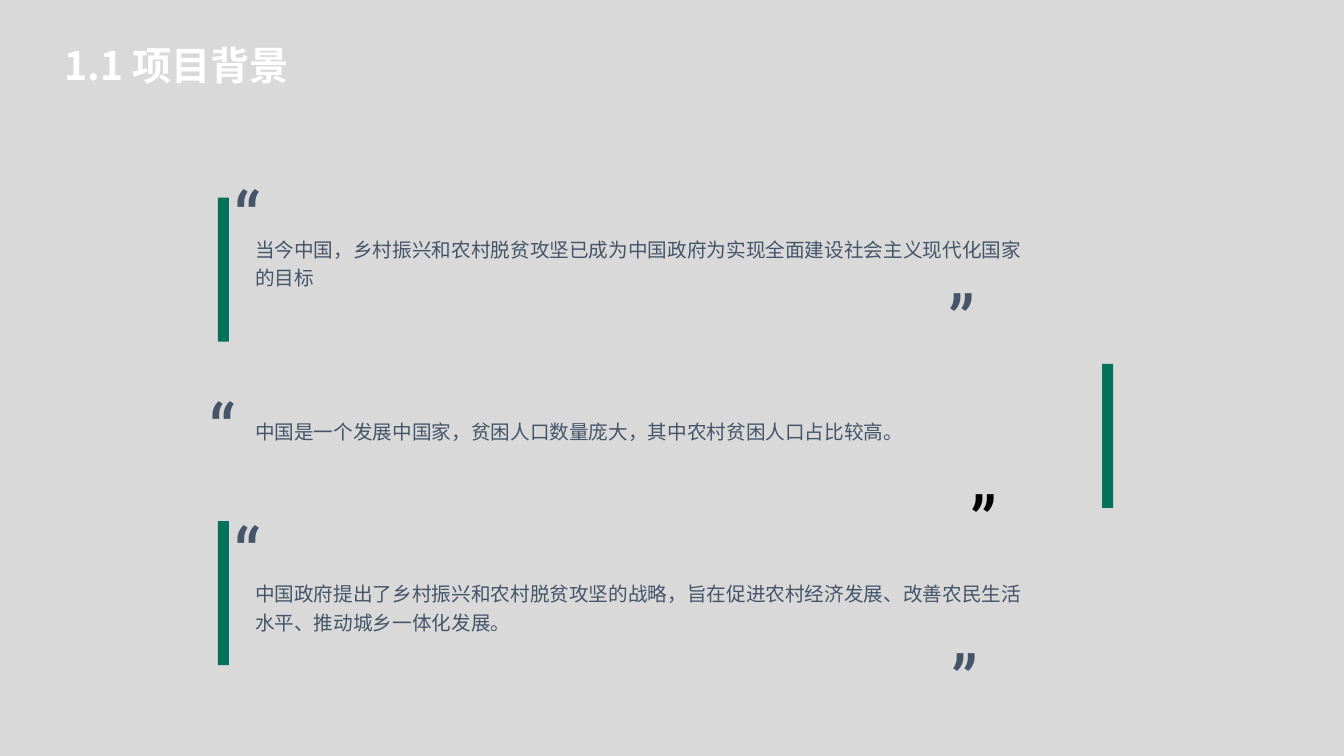
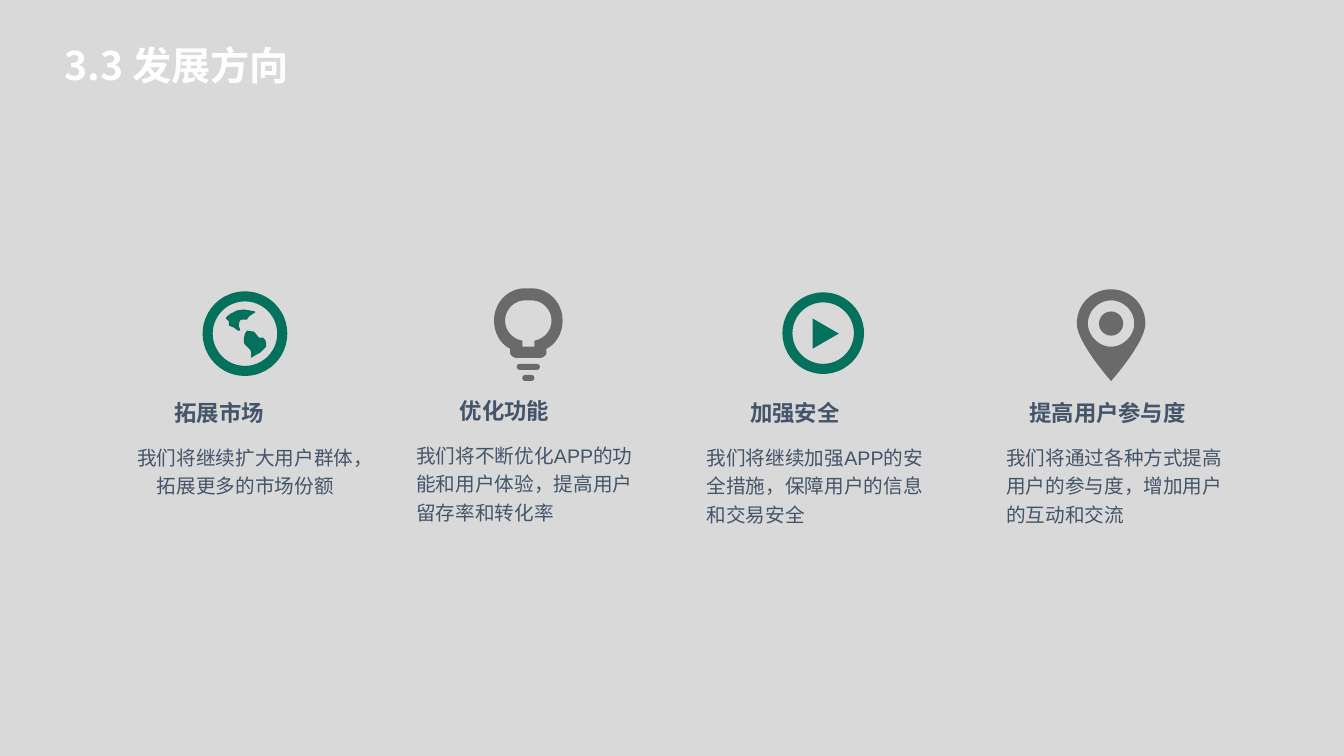
from lxml import etree
from pptx import Presentation
from pptx.dml.color import RGBColor
from pptx.enum.shapes import MSO_SHAPE
from pptx.enum.text import MSO_AUTO_SIZE, PP_ALIGN
from pptx.oxml.ns import qn
from pptx.util import Inches, Pt

RECT, DONUT, OVAL = MSO_SHAPE.RECTANGLE, MSO_SHAPE.DONUT, MSO_SHAPE.OVAL
ROUNDED = MSO_SHAPE.ROUNDED_RECTANGLE
GROW = MSO_AUTO_SIZE.SHAPE_TO_FIT_TEXT
LEFT, CENTER = PP_ALIGN.LEFT, PP_ALIGN.CENTER

PAPER, WHITE, BLACK = "D9D9D9", "FFFFFF", "000000"
GREEN, GREY, SLATE = "03715B", "6A6A6A", "445469"
CJK, LATIN, QUOTE_FONT = "Noto Sans CJK SC", "Arial", "Roboto"

# Content: text, text top, bar position, opening mark, closing mark, closing colour
QUOTES = [
    ("当今中国，乡村振兴和农村脱贫攻坚已成为中国政府为实现全面建设社会主义现代化国家的目标",
     2.31, (2.16, 1.96), (2.21, 1.29), (9.31, 2.68), SLATE),
    ("中国是一个发展中国家，贫困人口数量庞大，其中农村贫困人口占比较高。",
     4.12, (10.93, 3.61), (1.96, 3.39), (9.53, 4.67), BLACK),
    ("中国政府提出了乡村振兴和农村脱贫攻坚的战略，旨在促进农村经济发展、改善农民生活水平、推动城乡一体化发展。",
     5.73, (2.16, 5.17), (2.21, 4.62), (9.34, 6.25), SLATE),
]
# Content: heading, text, left, top of heading, heading width, alignment
DIRECTIONS = [
    ("拓展市场", "我们将继续扩大用户群体，拓展更多的市场份额", 1.3, 3.96, 1.42, CENTER),
    ("优化功能", "我们将不断优化APP的功能和用户体验，提高用户留存率和转化率", 4.13, 3.94, 1.42, LEFT),
    ("加强安全", "我们将继续加强APP的安全措施，保障用户的信息和交易安全", 7.01, 3.96, 1.42, LEFT),
    ("提高用户参与度", "我们将通过各种方式提高用户的参与度，增加用户的互动和交流", 9.98, 3.96, 1.63, LEFT),
]
CARD_WIDTH = 2.27

# Icon outlines
CONTINENTS = [
    [(2.58, 3.5), (2.54, 3.52), (2.49, 3.55), (2.49, 3.49), (2.48, 3.47), (2.45, 3.44),
     (2.43, 3.42), (2.42, 3.4), (2.42, 3.35), (2.43, 3.31), (2.45, 3.28), (2.52, 3.29),
     (2.57, 3.35), (2.61, 3.35), (2.63, 3.37), (2.64, 3.4), (2.64, 3.44)],
    [(2.5, 3.12), (2.47, 3.14), (2.45, 3.17), (2.4, 3.17), (2.38, 3.18), (2.37, 3.21),
     (2.37, 3.24), (2.38, 3.26), (2.38, 3.28), (2.36, 3.28), (2.32, 3.25), (2.27, 3.23),
     (2.27, 3.19), (2.24, 3.16), (2.25, 3.14), (2.29, 3.11), (2.35, 3.08), (2.42, 3.07),
     (2.48, 3.08), (2.53, 3.09), (2.53, 3.1)],
]
PLAY = [[(8.06, 3.16), (8.32, 3.31), (8.06, 3.46)]]
# Left halves, x from the icon's axis: a pair is a line, six numbers are a curve
BULB_AXIS, PIN_AXIS = 5.24, 11.02
BULB = [
    [(-0.03, 2.86), (-0.2, 2.86, -0.34, 3, -0.34, 3.18), (-0.34, 3.3, -0.28, 3.41, -0.18, 3.46),
     (-0.18, 3.5), (-0.18, 3.52, -0.15, 3.55, -0.12, 3.55)],
    [(-0.03, 2.98), (-0.14, 2.98, -0.23, 3.07, -0.23, 3.18),
     (-0.23, 3.28, -0.16, 3.36, -0.06, 3.38), (-0.06, 3.44)],
]
PIN = [
    [(0, 2.87), (-0.19, 2.87, -0.34, 3.02, -0.34, 3.21), (-0.34, 3.4, 0, 3.78, 0, 3.78)],
    [(0, 2.98), (-0.12, 2.98, -0.23, 3.08, -0.23, 3.21), (-0.23, 3.33, -0.12, 3.44, 0, 3.44)],
]
CURVE_STEPS = 16


def rgb(value):
    return RGBColor.from_string(value)


def paint(shape, color):
    shape.shadow.inherit = False
    shape.fill.solid()
    shape.fill.fore_color.rgb = rgb(color)
    shape.line.fill.background()
    return shape


def add_preset(page, kind, left, top, width, height, color):
    return paint(page.shapes.add_shape(
        kind, Inches(left), Inches(top), Inches(width), Inches(height)), color)


def add_text(page, text, left, top, width, height, size, color, font, east_asian=CJK,
             bold=False, align=LEFT, spacing=None, inset=None, wrap=True):
    box = page.shapes.add_textbox(Inches(left), Inches(top), Inches(width), Inches(height))
    frame = box.text_frame
    frame.word_wrap = wrap
    frame.auto_size = GROW
    if inset is not None:
        frame.margin_left = frame.margin_right = Inches(inset)
        frame.margin_top = frame.margin_bottom = Inches(inset)
    para = frame.paragraphs[0]
    para.alignment = align
    if spacing:
        para.line_spacing = spacing
    span = para.add_run()
    span.text = text
    span.font.size = Pt(size)
    span.font.bold = bold
    span.font.name = font
    span.font.color.rgb = rgb(color)
    etree.SubElement(span.font._element, qn("a:ea")).set("typeface", east_asian)
    return box


def add_body(page, text, left, top, width, height, font, align=LEFT):
    add_text(page, text, left, top, width, height, 14, SLATE, font,
             align=align, spacing=1.2, inset=0)


def add_mark(page, place, color=SLATE, rotation=0):
    mark = add_text(page, "”", *place, 0.48, 1, 53.2, color, QUOTE_FONT, QUOTE_FONT, wrap=False)
    mark.rotation = rotation


def add_page(deck, title):
    page = deck.slides.add_slide(deck.slide_layouts[6])
    add_text(page, title, 0.54, 0.36, 4.74, 0.57, 28, WHITE, CJK, bold=True)
    return page


def add_outline(page, contours, color):
    builder = None
    for contour in contours:
        start, *others = [(Inches(x), Inches(y)) for x, y in contour]
        if builder is None:
            builder = page.shapes.build_freeform(*start, scale=1.0)
        else:
            builder.move_to(*start)
        builder.add_line_segments(others, close=True)
    paint(builder.convert_to_shape(), color)


def mirrored(half, axis):
    """Flatten the curves of a left half and join it to its mirror image."""
    points = [half[0]]
    for segment in half[1:]:
        if len(segment) == 2:
            points.append(segment)
            continue
        x0, y0 = points[-1]
        x1, y1, x2, y2, x3, y3 = segment
        for step in range(1, CURVE_STEPS + 1):
            t = step / CURVE_STEPS
            a, b, c, d = (1 - t) ** 3, 3 * t * (1 - t) ** 2, 3 * t * t * (1 - t), t ** 3
            points.append((a * x0 + b * x1 + c * x2 + d * x3,
                           a * y0 + b * y1 + c * y2 + d * y3))
    return ([(axis + x, y) for x, y in points]
            + [(axis - x, y) for x, y in reversed(points)])


def add_ring(page, left, top, size):
    ring = add_preset(page, DONUT, left, top, size, size, GREEN)
    ring.adjustments[0] = 0.1 / size


def build_background(deck):
    page = add_page(deck, "1.1 项目背景")
    for text, top, bar, opening, closing, closing_color in QUOTES:
        add_preset(page, RECT, *bar, 0.11, 1.43, GREEN)
        add_mark(page, opening, rotation=180)
        add_mark(page, closing, closing_color)
        add_body(page, text, 2.53, top, 7.74, 0.54, CJK)


def build_directions(deck):
    page = add_page(deck, "3.3 发展方向")
    # Globe
    add_ring(page, 2.01, 2.89, 0.84)
    add_outline(page, CONTINENTS, GREEN)
    # Light bulb
    add_outline(page, [mirrored(half, BULB_AXIS) for half in BULB], GREY)
    for top, width in ((3.61, 0.23), (3.72, 0.12)):
        base = add_preset(page, ROUNDED, BULB_AXIS - width / 2, top, width, 0.06, GREY)
        base.adjustments[0] = 0.5
    # Play button
    add_ring(page, 7.76, 2.9, 0.81)
    add_outline(page, PLAY, GREEN)
    # Map pin
    add_outline(page, [mirrored(half, PIN_AXIS) for half in PIN], GREY)
    add_preset(page, OVAL, PIN_AXIS - 0.12, 3.09, 0.24, 0.24, GREY)
    # Headings and texts
    for heading, text, left, top, width, align in DIRECTIONS:
        indent = 0.43 if width < 1.5 else 0.23
        add_text(page, heading, left + indent, top, width, 0.27, 16, SLATE, LATIN,
                 bold=True, inset=0)
        add_body(page, text, left, top + 0.42, CARD_WIDTH, 0.85, LATIN, align)


def main():
    deck = Presentation()
    deck.slide_width, deck.slide_height = Inches(13.33), Inches(7.5)
    backdrop = deck.slide_master.background.fill
    backdrop.solid()
    backdrop.fore_color.rgb = rgb(PAPER)
    build_background(deck)
    build_directions(deck)
    deck.save("out.pptx")


if __name__ == "__main__":
    main()
